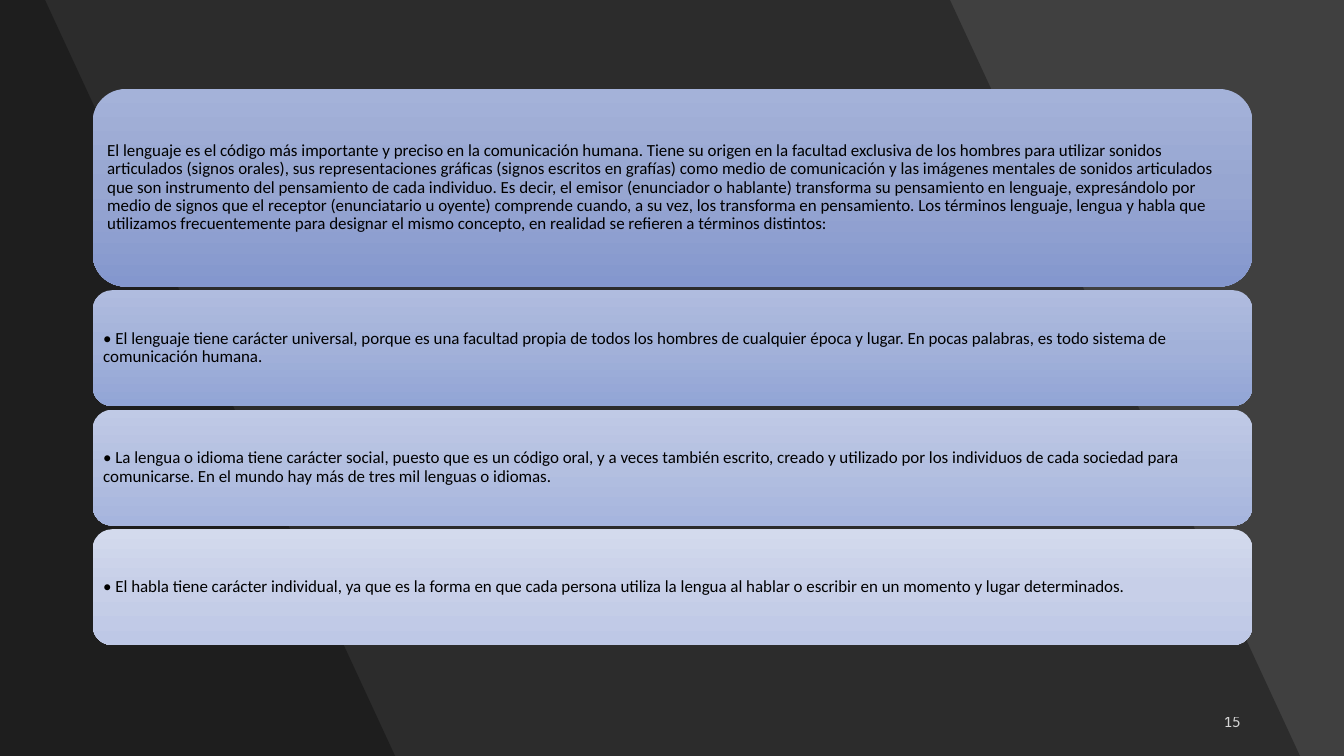
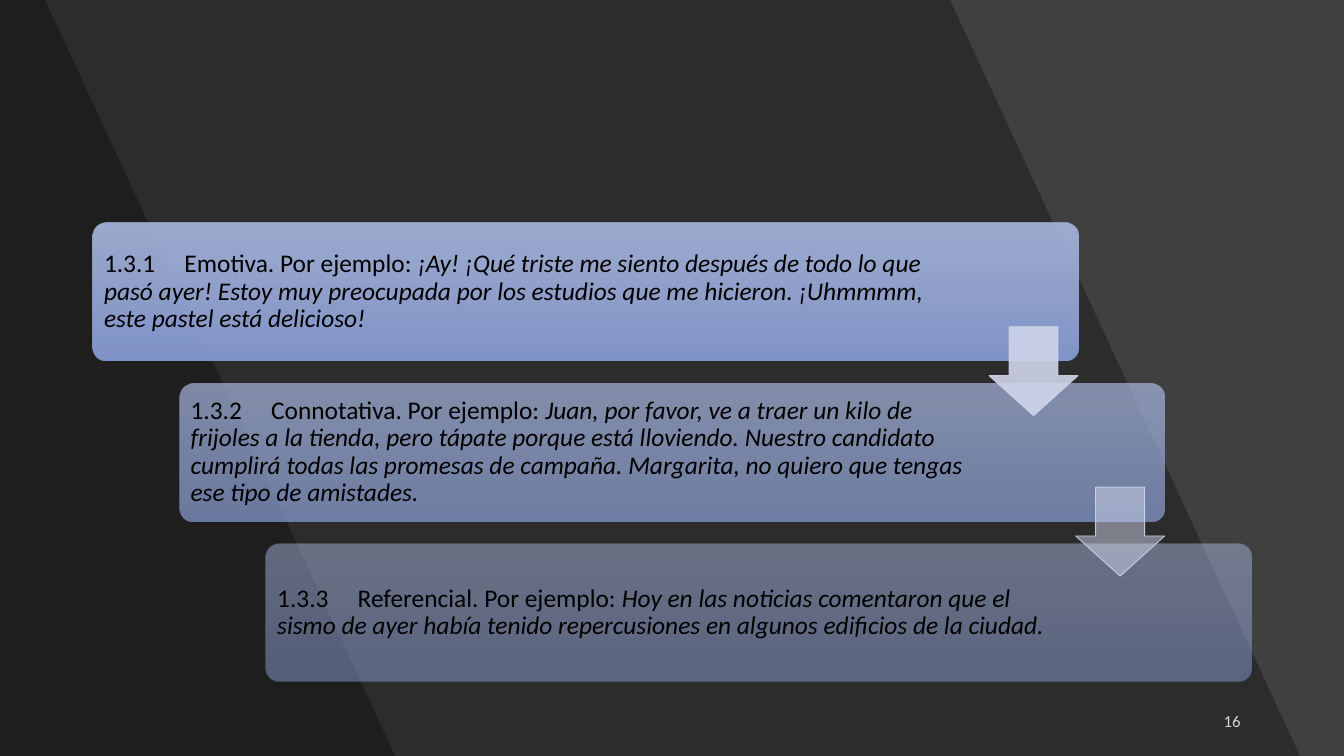
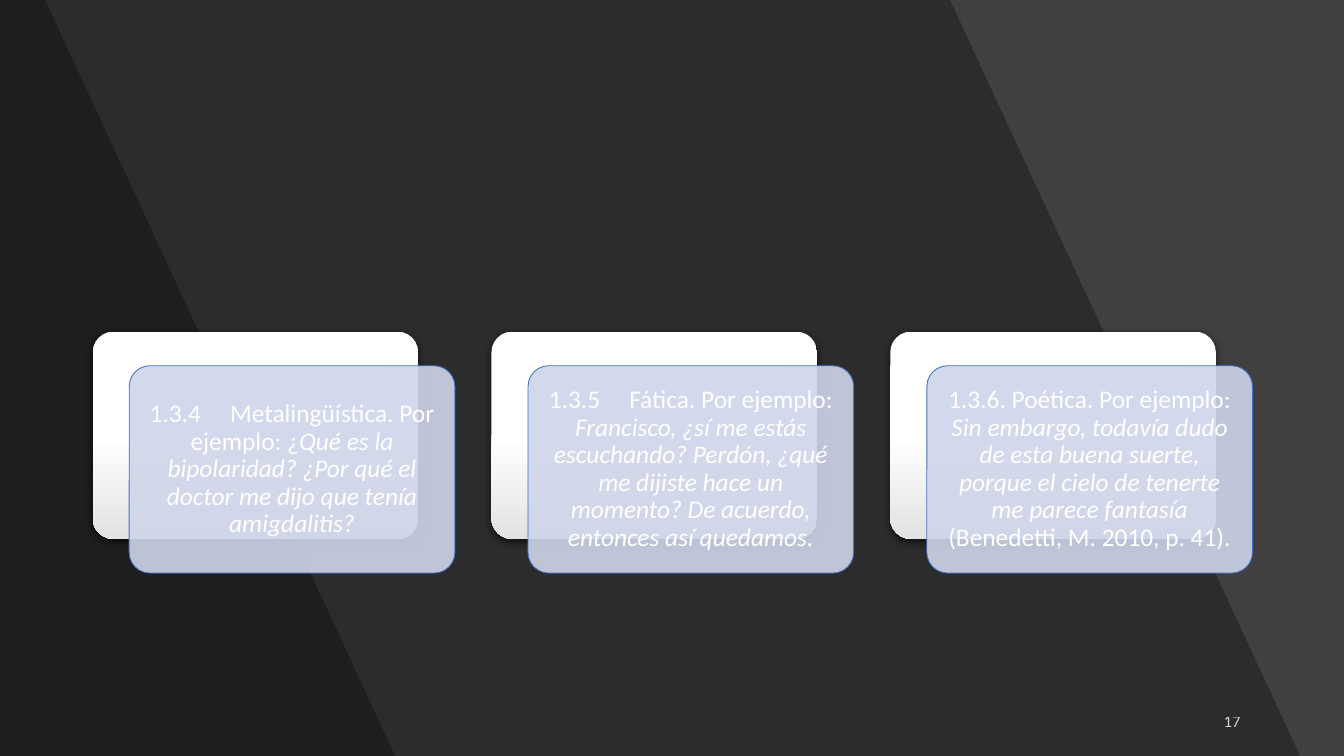
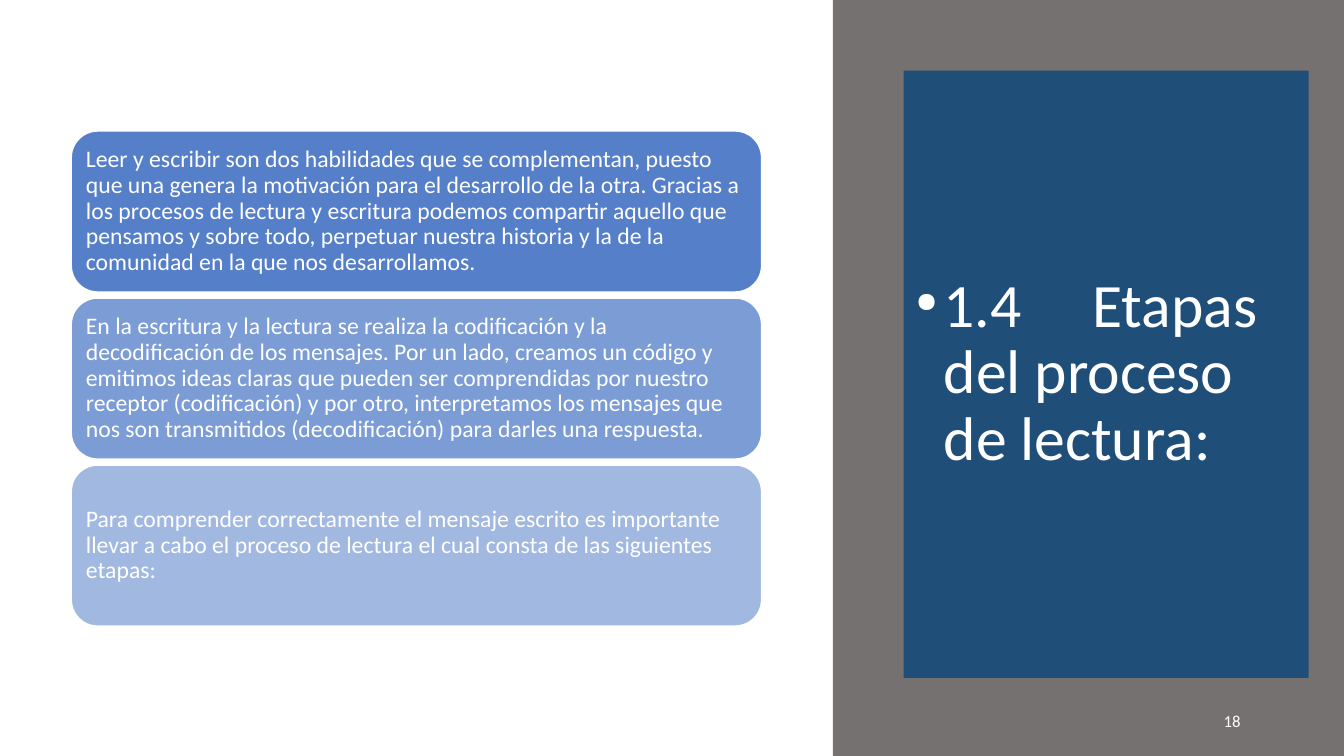
from dataclasses import dataclass
from typing import Optional

from lxml import etree
from pptx import Presentation
from pptx import util as u
from pptx.dml.color import RGBColor
from pptx.enum import shapes, text
from pptx.oxml.ns import qn


# Colours, type and shared measures
@dataclass(frozen=True)
class Theme:
    font: str = "Calibri"
    black: str = "000000"
    white: str = "FFFFFF"
    charcoal: str = "404040"
    gray: str = "767171"
    navy: str = "1F4E79"
    blue: str = "4472C4"
    pale: str = "CFD5EA"
    steps: tuple = ("A8B7DF", "9AABD9", "889ED7")
    gloss: tuple = ("FFFFFF", "FFFFFF", "E3E3E3")
    small: float = 10
    number: float = 9.9
    body: float = 14
    example: float = 15
    title: float = 36.4


THEME = Theme()
WIDTH, HEIGHT = 11.02, 6.2
LEFT, RIGHT = 0.76, 10.27
EXAMPLE_TAB = 0.66


@dataclass(frozen=True)
class Box:
    left: float
    top: float
    width: float
    height: float


@dataclass(frozen=True)
class Span:
    words: str
    italic: bool = False


@dataclass(frozen=True)
class Paint:
    colors: tuple
    alpha: int = 100


@dataclass(frozen=True)
class Outline:
    color: str
    width: float
    alpha: int = 100


@dataclass(frozen=True)
class TextStyle:
    size: float
    color: str
    insets: tuple = (0.06, 0.06, 0.06, 0.06)
    align: text.PP_ALIGN = text.PP_ALIGN.LEFT
    spacing: float = 0.9
    alpha: int = 100
    tab: Optional[float] = None
    bullet: bool = False


@dataclass(frozen=True)
class Panel:
    height: float
    colors: tuple
    words: str


# Drawing helpers
def add_node(parent, tag: str, **values):
    return etree.SubElement(parent, qn(tag), {key: str(value) for key, value in values.items()})


def fade(parent, alpha: int) -> None:
    """Make the solid colour directly under parent translucent."""
    if alpha < 100:
        color = parent.find(qn("a:solidFill")).find(qn("a:srgbClr"))
        add_node(color, "a:alpha", val=alpha * 1000)


def paint_shape(shape, paint: Paint, outline: Optional[Outline] = None) -> None:
    shape.shadow.inherit = False
    properties = shape._element.spPr
    if len(paint.colors) == 1:
        shape.fill.solid()
        shape.fill.fore_color.rgb = RGBColor.from_string(paint.colors[0])
        fade(properties, paint.alpha)
    else:
        shape.fill.gradient()
        shape.fill.gradient_angle = 270
        stops = properties.find(qn("a:gradFill")).find(qn("a:gsLst"))
        for stop in list(stops):
            stops.remove(stop)
        for index, value in enumerate(paint.colors):
            position = 100000 * index // (len(paint.colors) - 1)
            color = add_node(add_node(stops, "a:gs", pos=position), "a:srgbClr", val=value)
            if paint.alpha < 100:
                add_node(color, "a:alpha", val=paint.alpha * 1000)
    if outline is None:
        shape.line.fill.background()
    else:
        shape.line.color.rgb = RGBColor.from_string(outline.color)
        shape.line.width = u.Pt(outline.width)
        fade(properties.find(qn("a:ln")), outline.alpha)


def place(box: Box) -> tuple:
    return tuple(u.Inches(value) for value in (box.left, box.top, box.width, box.height))


def add_shape(page, kind, box: Box, paint: Paint, outline: Optional[Outline] = None, adjust: tuple = ()):
    shape = page.shapes.add_shape(kind, *place(box))
    for index, value in enumerate(adjust):
        shape.adjustments[index] = value
    paint_shape(shape, paint, outline)
    return shape


def cast_shadow(shape) -> None:
    effects = shape._element.spPr.find(qn("a:effectLst"))
    shadow = add_node(effects, "a:outerShdw", blurRad=u.Pt(4.5), dist=u.Pt(1.5), dir=5400000, rotWithShape=0)
    add_node(add_node(shadow, "a:srgbClr", val=THEME.black), "a:alpha", val=63000)


def write(shape, spans: tuple, style: TextStyle) -> None:
    frame = shape.text_frame
    frame.word_wrap = True
    frame.vertical_anchor = text.MSO_ANCHOR.MIDDLE
    for side, inset in zip(("left", "top", "right", "bottom"), style.insets):
        setattr(frame, f"margin_{side}", u.Inches(inset))
    para = frame.paragraphs[0]
    properties = para._p.get_or_add_pPr()
    if style.bullet:
        indent = u.Inches(0.23)
        properties.set("marL", str(indent))
        properties.set("indent", str(-indent))
        add_node(properties, "a:buSzPct", val=45000)
        add_node(properties, "a:buChar", char="●")
    if style.tab:
        add_node(add_node(properties, "a:tabLst"), "a:tab", pos=u.Inches(style.tab), algn="l")
    for name, value in {"alignment": style.align, "line_spacing": style.spacing}.items():
        setattr(para, name, value)
    for span in spans:
        run = para.add_run()
        run.text = span.words
        values = {"name": THEME.font, "size": u.Pt(style.size), "italic": span.italic}
        for name, value in values.items():
            setattr(run.font, name, value)
        run.font.color.rgb = RGBColor.from_string(style.color)
        fade(run._r.get_or_add_rPr(), style.alpha)


# Shared page parts
def add_band(page, top_right: float, bottom_right: float) -> None:
    corners = [(top_right, 0), (bottom_right, HEIGHT), (0, HEIGHT)]
    builder = page.shapes.build_freeform(0, 0)
    builder.add_line_segments([(u.Inches(x), u.Inches(y)) for x, y in corners], close=True)
    paint_shape(builder.convert_to_shape(), Paint((THEME.black,), 30))


def add_page(deck, background: str):
    page = deck.slides.add_slide(deck.slide_layouts[6])
    page.background.fill.solid()
    page.background.fill.fore_color.rgb = RGBColor.from_string(background)
    return page


def add_dark_page(deck):
    page = add_page(deck, THEME.charcoal)
    for top_right, bottom_right in ((7.79, 10.66), (0.37, 3.24)):
        add_band(page, top_right, bottom_right)
    return page


def add_number(page, number: int, alpha: int = 80) -> None:
    box = page.shapes.add_textbox(*place(Box(7.79, 5.75, 2.48, 0.33)))
    style = TextStyle(THEME.number, THEME.white, (0.1, 0.05, 0.1, 0.05),
                      text.PP_ALIGN.RIGHT, spacing=1.0, alpha=alpha)
    write(box, (Span(str(number)),), style)


ROUNDED = shapes.MSO_SHAPE.ROUNDED_RECTANGLE


# Page 15: stacked panels
LANGUAGE_PANELS = (
    Panel(1.62, ("A4B2D9", "97A6D1", "8497CE"),
          "El lenguaje es el código más importante y preciso en la comunicación humana. Tiene su origen "
          "en la facultad exclusiva de los hombres para utilizar sonidos articulados (signos orales), sus "
          "representaciones gráficas (signos escritos en grafías) como medio de comunicación y las imágenes "
          "mentales de sonidos articulados que son instrumento del pensamiento de cada individuo. Es decir, "
          "el emisor (enunciador o hablante) transforma su pensamiento en lenguaje, expresándolo por medio "
          "de signos que el receptor (enunciatario u oyente) comprende cuando, a su vez, los transforma en "
          "pensamiento. Los términos lenguaje, lengua y habla que utilizamos frecuentemente para designar "
          "el mismo concepto, en realidad se refieren a términos distintos:"),
    Panel(0.95, ("B0BCDF", "A2B1D9", "92A5D6"),
          "• El lenguaje tiene carácter universal, porque es una facultad propia de todos los hombres de "
          "cualquier época y lugar. En pocas palabras, es todo sistema de comunicación humana."),
    Panel(0.95, ("C0CAE6", "B3BFE0", "A6B5DE"),
          "• La lengua o idioma tiene carácter social, puesto que es un código oral, y a veces también "
          "escrito, creado y utilizado por los individuos de cada sociedad para comunicarse. En el mundo "
          "hay más de tres mil lenguas o idiomas."),
    Panel(0.95, ("D3DAED", "C7CFE8", "BEC8E6"),
          "• El habla tiene carácter individual, ya que es la forma en que cada persona utiliza la lengua "
          "al hablar o escribir en un momento y lugar determinados."),
)


def build_language(deck) -> None:
    page = add_dark_page(deck)
    style = TextStyle(THEME.small, THEME.black, (0.04,) * 4)
    top, gap = 0.73, 0.03
    for panel in LANGUAGE_PANELS:
        box = Box(LEFT, top, RIGHT - LEFT, panel.height)
        write(add_shape(page, ROUNDED, box, Paint(panel.colors)), (Span(panel.words),), style)
        top += panel.height + gap
    add_number(page, 15)


# Page 16: descending steps joined by arrows
STEP_EXAMPLES = (
    (Span("1.3.1\tEmotiva. Por ejemplo: "),
     Span("¡Ay! ¡Qué triste me siento después de todo lo que pasó ayer! Estoy muy preocupada por los "
          "estudios que me hicieron. ¡Uhmmmm, este pastel está delicioso!", True)),
    (Span("1.3.2\tConnotativa. Por ejemplo: "),
     Span("Juan, por favor, ve a traer un kilo de frijoles a la tienda, pero tápate porque está lloviendo. "
          "Nuestro candidato cumplirá todas las promesas de campaña. Margarita, no quiero que tengas ese "
          "tipo de amistades.", True)),
    (Span("1.3.3\tReferencial. Por ejemplo: "),
     Span("Hoy en las noticias comentaron que el sismo de ayer había tenido repercusiones en algunos "
          "edificios de la ciudad.", True)),
)


def build_steps(deck) -> None:
    page = add_dark_page(deck)
    width, height, arrow = 8.08, 1.13, 0.73
    boxes = [Box(LEFT + 0.71 * index, 1.83 + 2.63 / 2 * index, width, height)
             for index in range(len(STEP_EXAMPLES))]
    room_for_arrow = (1.21, 1.51, 1.51)
    for box, spans, alpha, room in zip(boxes, STEP_EXAMPLES, (90, 70, 50), room_for_arrow):
        step = add_shape(page, ROUNDED, box, Paint(THEME.steps, alpha), adjust=(0.1,))
        write(step, spans, TextStyle(THEME.example, THEME.black, (0.06, 0.06, room, 0.06), tab=EXAMPLE_TAB))
    for box, alpha in zip(boxes, (90, 50)):
        spot = Box(box.left + width - arrow, box.top + 0.85, arrow, arrow)
        add_shape(page, shapes.MSO_SHAPE.DOWN_ARROW, spot, Paint((THEME.pale,), alpha),
                  Outline(THEME.pale, 0.5, 90), (0.55, 0.45))
    add_number(page, 16)


# Page 17: cards over white plates
CARD_EXAMPLES = (
    (Span("1.3.4\tMetalingüística. Por ejemplo: ¿"),
     Span("Qué es la bipolaridad? ¿Por qué el doctor me dijo que tenía amigdalitis?", True)),
    (Span("1.3.5\tFática. Por ejemplo: "),
     Span("Francisco, ¿sí me estás escuchando? Perdón, ¿qué me dijiste hace un momento? De acuerdo, "
          "entonces así quedamos.", True)),
    (Span("1.3.6. Poética. Por ejemplo: "),
     Span("Sin embargo, todavía dudo de esta buena suerte, porque el cielo de tenerte me parece fantasía ", True),
     Span("(Benedetti, M. 2010, p. 41).")),
)


def build_cards(deck) -> None:
    page = add_dark_page(deck)
    width, height, shift = 2.67, 1.7, 0.3
    pitch = (RIGHT - LEFT - shift - width) / (len(CARD_EXAMPLES) - 1)
    style = TextStyle(THEME.example, THEME.white, align=text.PP_ALIGN.CENTER, tab=EXAMPLE_TAB)
    for index, spans in enumerate(CARD_EXAMPLES):
        left = LEFT + pitch * index
        plate = add_shape(page, ROUNDED, Box(left, 2.72, width, height), Paint(THEME.gloss), adjust=(0.1,))
        cast_shadow(plate)
        card = add_shape(page, ROUNDED, Box(left + shift, 3, width, height), Paint((THEME.pale,), 90),
                         Outline(THEME.blue, 0.5), (0.1,))
        write(card, spans, style)
    add_number(page, 17)


# Page 18: reading stages with a title block at the right
READING_NOTES = (
    "Leer y escribir son dos habilidades que se complementan, puesto que una genera la motivación para el "
    "desarrollo de la otra. Gracias a los procesos de lectura y escritura podemos compartir aquello que "
    "pensamos y sobre todo, perpetuar nuestra historia y la de la comunidad en la que nos desarrollamos.",
    "En la escritura y la lectura se realiza la codificación y la decodificación de los mensajes. Por un "
    "lado, creamos un código y emitimos ideas claras que pueden ser comprendidas por nuestro receptor "
    "(codificación) y por otro, interpretamos los mensajes que nos son transmitidos (decodificación) para "
    "darles una respuesta.",
    "Para comprender correctamente el mensaje escrito es importante llevar a cabo el proceso de lectura el "
    "cual consta de las siguientes etapas:",
)


def build_reading(deck) -> None:
    page = add_page(deck, THEME.white)
    rectangle = shapes.MSO_SHAPE.RECTANGLE
    add_shape(page, rectangle, Box(6.83, 0, WIDTH - 6.83, HEIGHT), Paint((THEME.gray,)))
    title = add_shape(page, rectangle, Box(7.41, 0.58, 3.32, 4.98), Paint((THEME.navy,)))
    title_style = TextStyle(THEME.title, THEME.white, (0.1, 0.04, 0.1, 0.05), tab=1.45, bullet=True)
    write(title, (Span("1.4\tEtapas del proceso de lectura:"),), title_style)
    style = TextStyle(THEME.body, THEME.white)
    for index, (words, alpha) in enumerate(zip(READING_NOTES, (90, 70, 50))):
        box = Box(0.58, 1.07 + 1.37 * index, 5.67, 1.33)
        note = add_shape(page, ROUNDED, box, Paint((THEME.blue,), alpha), Outline(THEME.white, 1.5))
        write(note, (Span(words),), style)
    add_number(page, 18, alpha=100)


def main() -> None:
    deck = Presentation()
    deck.slide_width, deck.slide_height = u.Inches(WIDTH), u.Inches(HEIGHT)
    for build in (build_language, build_steps, build_cards, build_reading):
        build(deck)
    deck.save("out.pptx")


if __name__ == "__main__":
    main()
